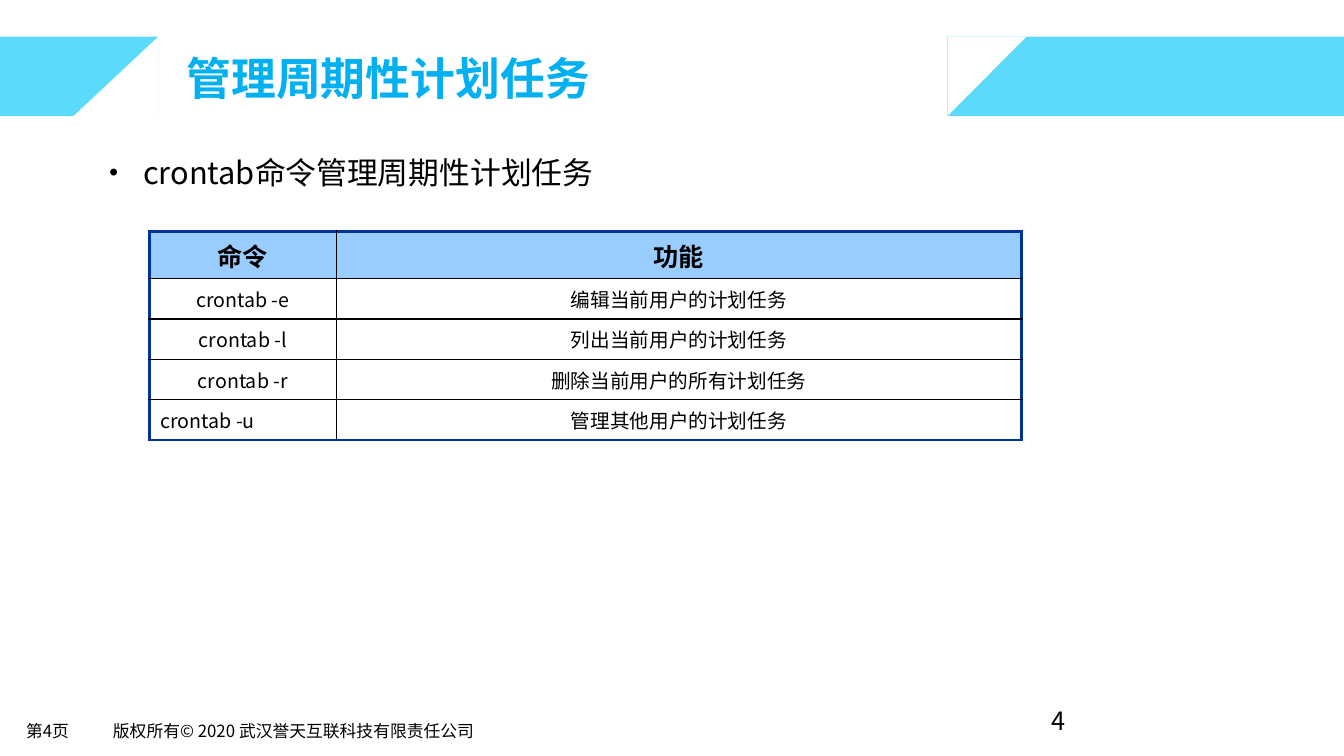
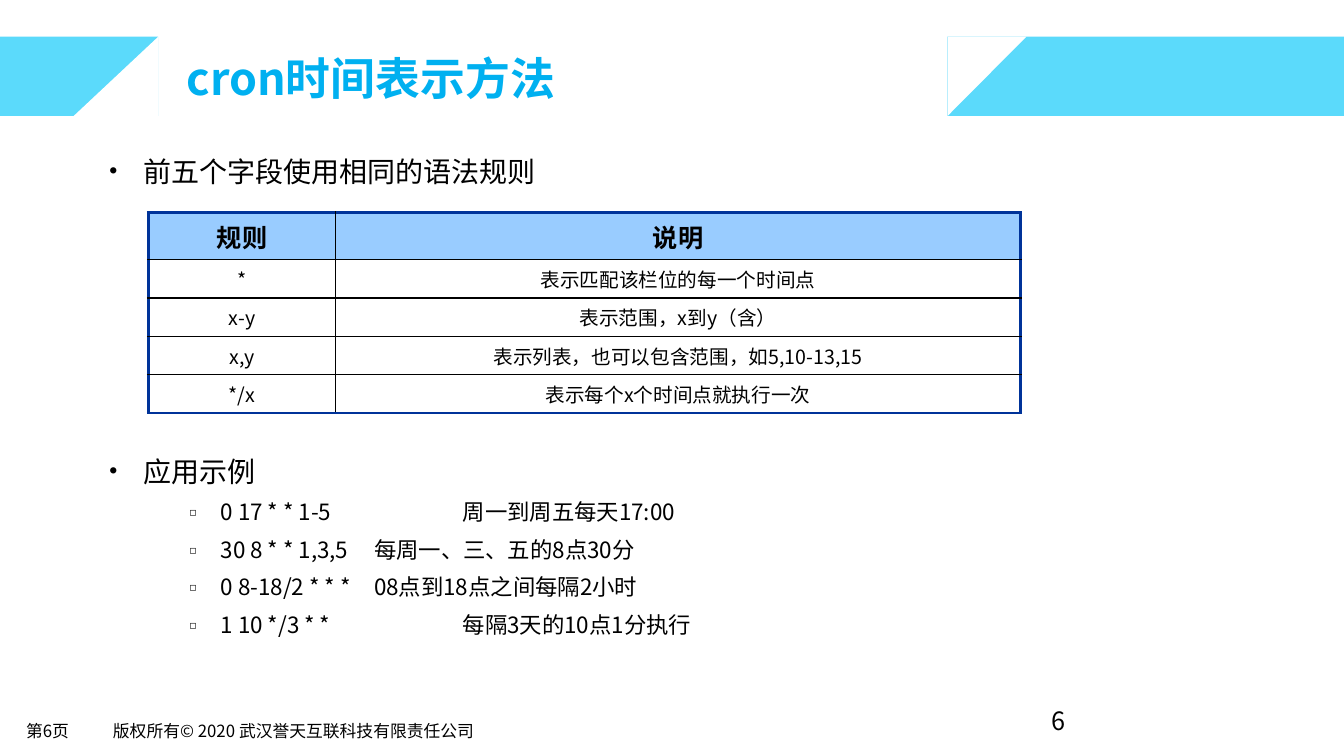
from dataclasses import dataclass
from lxml.etree import SubElement
from pptx import Presentation
from pptx.dml.color import RGBColor
from pptx.enum.shapes import MSO_SHAPE
from pptx.enum.text import MSO_ANCHOR, MSO_AUTO_SIZE, PP_ALIGN
from pptx.oxml.ns import qn
from pptx.util import Inches, Pt


@dataclass(frozen=True)
class Theme:
    font: str = "Noto Sans CJK SC"
    band: str = "5BDAFB"
    title: str = "00B0F0"
    ink: str = "000000"
    paper: str = "FFFFFF"
    head: str = "99CCFF"
    frame: str = "003399"
    big: int = 32
    mid: int = 18
    cell: int = 14
    sub: int = 16
    foot: int = 12


look = Theme()
deck = Presentation()
deck.slide_width, deck.slide_height = Inches(13.33), Inches(7.5)


def at(*shares):
    """Turn percent shares (x, y, x, y ...) of the slide into lengths."""
    sides = (deck.slide_width, deck.slide_height)
    return [round(sides[i % 2] * s / 100) for i, s in enumerate(shares)]


def say(para, text, size, color=look.ink, bold=False):
    """Add one run in the theme font, Latin and East Asian alike."""
    run = para.add_run()
    run.text = text
    run.font.name = look.font
    run.font.size = Pt(size)
    run.font.bold = bold
    run.font.color.rgb = RGBColor.from_string(color)
    SubElement(run.font._element, qn("a:ea"), typeface=look.font)


# Content of the pages
pages = [
    dict(
        num=4, title="管理周期性计划任务", size=22,
        points=["crontab命令管理周期性计划任务"], subs=[],
        spot=(11.1, 30.6), step=0.4, inset=(0.11, 0.05), left="crontab -u",
        rows=[
            ("命令", "功能"),
            ("crontab -e", "编辑当前用户的计划任务"),
            ("crontab -l", "列出当前用户的计划任务"),
            ("crontab -r", "删除当前用户的所有计划任务"),
            ("crontab -u", "管理其他用户的计划任务"),
        ],
    ),
    dict(
        num=6, title="cron时间表示方法", size=20,
        points=["前五个字段使用相同的语法规则", "应用示例"],
        subs=[
            ("0 17 * * 1-5", "周一到周五每天17:00", 3.5),
            ("30 8 * * 1,3,5", "每周一、三、五的8点30分", 2.62),
            ("0 8-18/2 * * *", "08点到18点之间每隔2小时", 2.62),
            ("1 10 */3 * *", "每隔3天的10点1分执行", 3.5),
        ],
        spot=(11.03, 28.1), step=0.38, inset=(0, 0), left=None,
        rows=[
            ("规则", "说明"),
            ("*", "表示匹配该栏位的每一个时间点"),
            ("x-y", "表示范围，x到y（含）"),
            ("x,y", "表示列表，也可以包含范围，如5,10-13,15"),
            ("*/x", "表示每个x个时间点就执行一次"),
        ],
    ),
]

# Layout: places of title and body
plan = deck.slide_layouts[1]
spots = {0: (13.05, 5.65, 80.65, 9.33), 1: (7.5, 19.85, 86.65, 68.27)}
for hold in list(plan.placeholders):
    key = hold.placeholder_format.idx
    if key in spots:
        hold.left, hold.top, hold.width, hold.height = at(*spots[key])
    else:
        hold.element.getparent().remove(hold.element)
slides = [deck.slides.add_slide(plan) for page in pages]

# Layout: bands with slanted ends and the copyright line
top, high = 4.85, 10.5
low = top + high
draw = slides[0].shapes
shared = []
for x, wide, cut in [
    (0, 11.78, [(11.78, low), (5.48, low), (11.78, top)]),
    (70.5, 29.5, [(70.5, top), (76.37, top), (70.5, low)]),
]:
    band = draw.add_shape(MSO_SHAPE.RECTANGLE, *at(x, top, wide, high))
    edge = [at(*spot) for spot in cut]
    pen = draw.build_freeform(*edge[0], scale=1.0)
    pen.add_line_segments(edge[1:], close=True)
    slant = pen.convert_to_shape()
    for part, color in [(band, look.band), (slant, look.paper)]:
        part.shadow.inherit = False
        part.fill.solid()
        part.fill.fore_color.rgb = RGBColor.from_string(color)
        part.line.fill.background()
        shared.append(part)
note = draw.add_textbox(*at(7.73, 94.8, 36, 3.87))
frame = note.text_frame
frame.word_wrap = True
frame.margin_left = frame.margin_right = Inches(0.09)
frame.margin_top = frame.margin_bottom = Inches(0.04)
say(frame.paragraphs[0],
    "版权所有© 2020 武汉誉天互联科技有限责任公司", look.foot)
shared.append(note)
for part in shared:
    plan.shapes.element.append(part.element)

for slide, page in zip(slides, pages):
    # Title
    frame = slide.shapes.title.text_frame
    frame.auto_size = MSO_AUTO_SIZE.NONE
    frame.vertical_anchor = MSO_ANCHOR.MIDDLE
    frame.margin_left = Inches(0.11)
    para = frame.paragraphs[0]
    para.alignment = PP_ALIGN.LEFT
    say(para, page["title"], look.big, look.title, True)

    # Bulleted body; the second point starts below the table
    frame = slide.placeholders[1].text_frame
    frame.auto_size = MSO_AUTO_SIZE.NONE
    frame.margin_left = Inches(0.09)
    frame.margin_top = Inches(0.04)
    lines = [(text, None, None) for text in page["points"]] + page["subs"]
    for i, (text, gloss, stop) in enumerate(lines):
        para = frame.paragraphs[0] if i == 0 else frame.add_paragraph()
        props = para._p.get_or_add_pPr()
        props.set("marL", str(Inches(1.1 if gloss else 0.33)))
        props.set("indent", str(Inches(-0.31 if gloss else -0.33)))
        tint = SubElement(props, qn("a:buClr"))
        SubElement(tint, qn("a:srgbClr"), val=look.ink)
        SubElement(props, qn("a:buSzPct"), val="50000" if gloss else "25000")
        SubElement(props, qn("a:buFont"), typeface=look.font)
        SubElement(props, qn("a:buChar"), char="◻" if gloss else "●")
        para.space_before = Pt(0)
        if gloss:
            tabs = SubElement(props, qn("a:tabLst"))
            SubElement(tabs, qn("a:tab"), pos=str(Inches(stop)), algn="l")
            para.line_spacing = Pt(26.8)
            say(para, text + "\t" + gloss, look.sub)
        else:
            if i:
                para.line_spacing = Pt(28)
                para.space_before = Pt(186.3)
            say(para, text, page["size"])

    # Page numbers
    for spot, text, size, pad in [
        ((1.2, 94.8, 6.5, 3.87), f"第{page['num']}页", look.foot, 0.04),
        ((77.5, 92.67, 22.5, 5.33), str(page["num"]), look.mid, 0.05),
    ]:
        frame = slide.shapes.add_textbox(*at(*spot)).text_frame
        frame.word_wrap = True
        frame.margin_top = frame.margin_bottom = Inches(pad)
        say(frame.paragraphs[0], text, size)

    # Table
    rows = page["rows"]
    grid = slide.shapes.add_table(
        len(rows), 2, *at(*page["spot"], 64.89, 26.53)).table
    for col, share in zip(grid.columns, (13.95, 50.94)):
        col.width = at(share)[0]
    last = len(rows) - 1
    for r, row in enumerate(rows):
        grid.rows[r].height = Inches(page["step"] if r else 0.47)
        for c, text in enumerate(row):
            cell = grid.cell(r, c)
            cell.vertical_anchor = MSO_ANCHOR.MIDDLE
            cell.margin_left = cell.margin_right = Inches(page["inset"][0])
            cell.margin_top = cell.margin_bottom = Inches(page["inset"][1])
            para = cell.text_frame.paragraphs[0]
            flush = text == page["left"]
            para.alignment = PP_ALIGN.LEFT if flush else PP_ALIGN.CENTER
            say(para, text, look.cell if r else look.mid, bold=r == 0)
            # Outer edges are thick and blue, inner ones thin and black
            props = cell._tc.get_or_add_tcPr()
            for tag, outer in [("a:lnL", c == 0), ("a:lnR", c == 1),
                               ("a:lnT", r == 0), ("a:lnB", r == last)]:
                side = SubElement(props, qn(tag),
                                  w=str(Pt(2.25 if outer else 1)))
                paint = SubElement(side, qn("a:solidFill"))
                SubElement(paint, qn("a:srgbClr"),
                           val=look.frame if outer else look.ink)
            if r:
                cell.fill.background()
            else:
                cell.fill.solid()
                cell.fill.fore_color.rgb = RGBColor.from_string(look.head)

deck.save("out.pptx")
